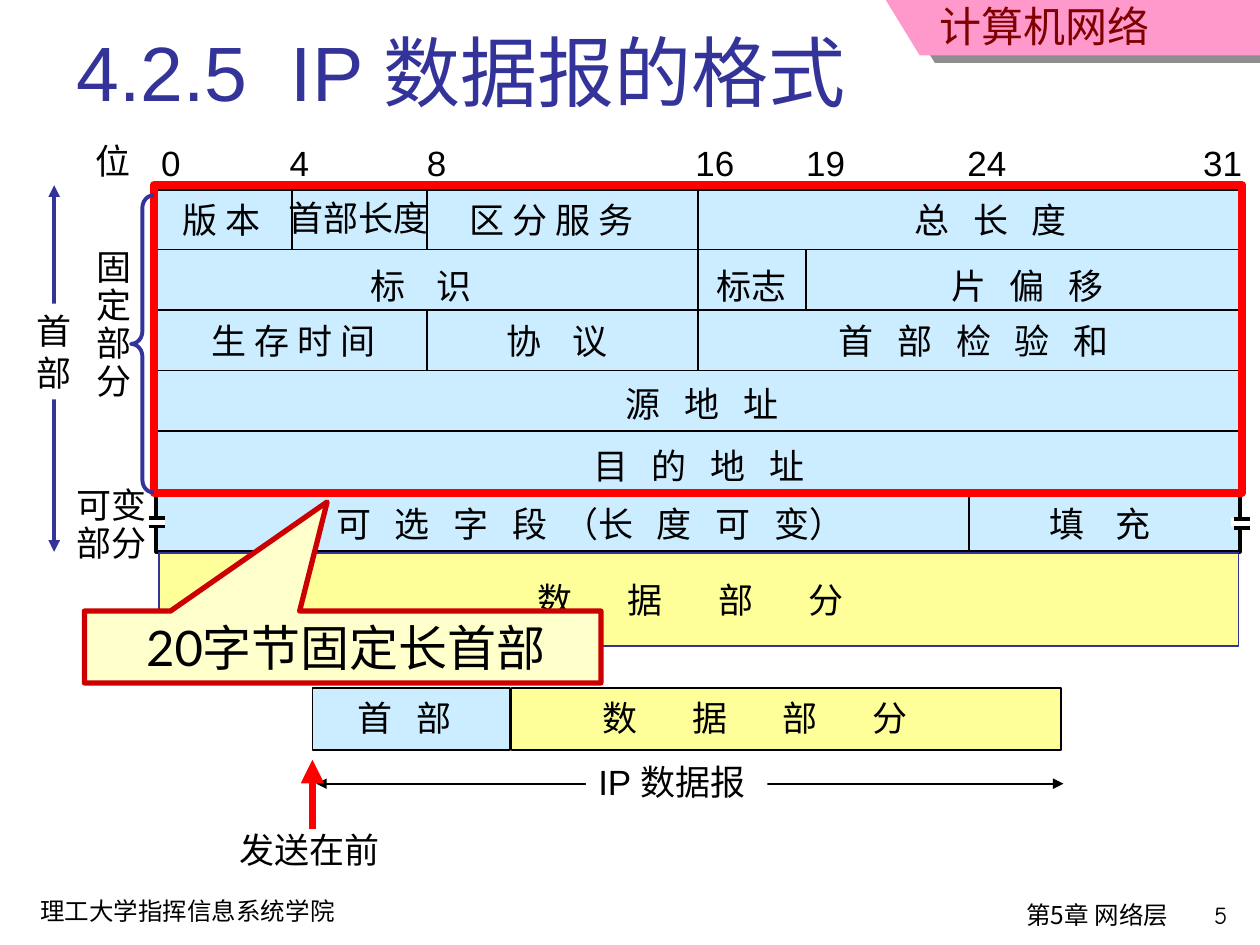
from lxml.etree import SubElement as Sub
from pptx import Presentation as Deck
from pptx.dml.color import RGBColor as Rgb
from pptx.enum.shapes import MSO_CONNECTOR as Link, MSO_SHAPE as Kind
from pptx.enum.text import MSO_ANCHOR as Anchor, MSO_AUTO_SIZE as Fit, PP_ALIGN as Align
from pptx.oxml.ns import qn
from pptx.util import Inches as In, Pt

INK = {"black": "000000", "white": "FFFFFF", "blue": "333399", "sky": "CCECFF",
       "lemon": "FFFF99", "cream": "FFFFCC", "red": "FF0000", "brick": "CC0000",
       "pink": "FF99CC", "maroon": "800000", "gray": "8E8E8E"}
CJK = "Noto Sans CJK SC"
LEFT, TOP, ROW, BIT = 1.24, 1.5, 0.48, 8.6 / 32
EDGE = LEFT + 32 * BIT
MID, WIDE, VAST = 4.5, 6.75, 13.5
SLACK = 0.15

deck = Deck()
deck.slide_width, deck.slide_height = In(10), In(7.5)
slide = deck.slides.add_slide(deck.slide_layouts[6])
pool = slide.shapes


def box(x, y, w, h, fill, line=None, width=1, kind=Kind.RECTANGLE):
    part = pool.add_shape(kind, In(x), In(y), In(w), In(h))
    part.shadow.inherit = False
    if fill:
        part.fill.solid()
        part.fill.fore_color.rgb = Rgb.from_string(INK[fill])
    else:
        part.fill.background()
    if line:
        part.line.color.rgb = Rgb.from_string(INK[line])
        part.line.width = Pt(width)
    else:
        part.line.fill.background()
    return part


def say(part, rows, size=20, font="Arial", ink="black", wrap=False,
        fit=Fit.SHAPE_TO_FIT_TEXT, align=Align.LEFT, lead=1.0, anchor=Anchor.TOP):
    frame = part.text_frame
    frame.word_wrap, frame.auto_size, frame.vertical_anchor = wrap, fit, anchor
    for i, runs in enumerate(rows):
        para = frame.paragraphs[0] if i == 0 else frame.add_paragraph()
        para.alignment, para.line_spacing = align, lead
        for text, gap in runs:
            run = para.add_run()
            run.text = text
            run.font.size, run.font.name = Pt(size), font
            run.font.color.rgb = Rgb.from_string(INK[ink])
            Sub(run.font._element, qn("a:ea")).set("typeface", CJK)
            if gap:
                run.font._element.set("spc", str(round(gap * 100)))


for tint, dx, dy in [("gray", 0.12, 0.06), ("pink", 0, 0)]:
    pen = pool.build_freeform(In(7.03 + dx), In(dy), scale=1.0)
    pen.add_line_segments([(In(7.3 + dx), In(0.44 + dy)), (In(10), In(0.44 + dy)),
                           (In(10), In(dy))], close=True)
    flag = pen.convert_to_shape()
    flag.shadow.inherit = False
    flag.fill.solid()
    flag.fill.fore_color.rgb = Rgb.from_string(INK[tint])
    flag.line.fill.background()

for x, y, w, h, fill, line, width in [
    (2.48, 5.46, 1.57, 0.49, "sky", "black", 1),
    (4.06, 5.46, 4.36, 0.49, "lemon", "black", 1),
    (LEFT, TOP, 32 * BIT, 6 * ROW, "sky", "black", 2),
    (1.26, 4.39, 8.57, 0.74, "lemon", "blue", 1),
    (1.17, 4.1, 0.14, 0.08, "white", None, 0),
    (9.77, 4.11, 0.14, 0.07, "white", None, 0),
]:
    box(x, y, w, h, fill, line, width)

lines = [(LEFT, TOP + r * ROW, EDGE, TOP + r * ROW, "black", 1, "") for r in range(1, 6)]
for bit, first, last in [(4, 0, 1), (8, 0, 1), (8, 2, 3), (16, 0, 3), (19.2, 1, 2), (24, 5, 6)]:
    x = LEFT + bit * BIT
    lines.append((x, TOP + first * ROW, x, TOP + last * ROW, "black", 1, ""))
for x, y in [(1.18, 4.11), (9.79, 4.12)]:
    for drop in (0, 0.07):
        lines.append((x, y + drop, x + 0.13, y + drop, "black", 2, ""))
lines += [(0.43, 1.47, 0.43, 4.38, "blue", 2.25, "headEnd tailEnd"),
          (2.51, 6.22, 8.44, 6.22, "black", 1, "headEnd tailEnd"),
          (2.48, 6.58, 2.48, 6.03, "red", 4.5, "tailEnd")]
for x, y, u, v, tint, width, ends in lines:
    wire = pool.add_connector(Link.STRAIGHT, In(x), In(y), In(u), In(v))
    wire.line.color.rgb = Rgb.from_string(INK[tint])
    wire.line.width = Pt(width)
    for end in ends.split():
        Sub(wire.line._get_or_add_ln(), qn("a:" + end)).set("type", "triangle")
    Sub(wire._element.spPr, qn("a:effectLst"))

for x, w, mark in [(1.18, 0.35, "0"), (2.2, 0.35, "4"), (3.29, 0.35, "8"), (5.42, 0.51, "16"),
                   (6.3, 0.51, "19"), (7.58, 0.51, "24"), (9.45, 0.51, "31")]:
    say(pool.add_textbox(In(x), In(1.07), In(w), In(0.43)), [[(mark, 0)]])

for x, y, w, text, gap in [
    (0.66, 1.06, 0.48, "位", 0), (1.35, 1.53, 0.82, "版 本", 0),
    (2.19, 1.51, 1.31, "首部长度", 0), (3.63, 1.53, 1.5, "区 分 服 务", 0),
    (7.16, 1.53, 1.41, "总 长 度", MID), (2.84, 2.05, 1, "标 识", WIDE),
    (5.59, 2.05, 0.76, "标志", 0), (7.45, 2.05, 1.41, "片 偏 移", MID),
    (1.58, 2.49, 1.5, "生 存 时 间", 0), (3.92, 2.49, 1, "协 议", WIDE),
    (6.56, 2.49, 2.34, "首 部 检 验 和", MID), (4.87, 2.99, 1.41, "源 地 址", MID),
    (4.61, 3.48, 1.87, "目 的 地 址", MID), (8.23, 3.94, 1, "填 充", WIDE),
    (4.17, 4.54, 3.18, "数 据 部 分", VAST), (4.68, 5.48, 3.39, "数 据 部 分", VAST),
    (2.74, 5.48, 0.94, "首 部", MID),
]:
    runs = [(text[:-1], gap), (text[-1], 0)] if gap else [(text, 0)]
    room = w + SLACK if gap else w
    say(pool.add_textbox(In(x), In(y), In(room), In(0.43)), [runs], wrap=gap > 0)

say(pool.add_textbox(In(2.57), In(3.94), In(4.23 + SLACK), In(0.43)),
    [[("可 选 字 ", MID), ("段 ", MID / 2), ("（", 0), ("长 度 可 ", MID), ("变）", 0)]],
    wrap=True)
say(pool.add_textbox(In(1.8), In(6.53), In(1.31), In(0.43)),
    [[("发送在前", 0)]], font="Times New Roman")
say(pool.add_textbox(In(0.51), In(3.83), In(0.76), In(0.7)),
    [[("可变", 0)], [("部分", 0)]], lead=0.9)
say(pool.add_textbox(In(0.67), In(1.94), In(0.48), In(1.3)),
    [[(sign, 0)] for sign in "固定部分"], lead=0.9)
say(box(0.19, 2.41, 0.48, 0.76, "white"), [[(sign, 0)] for sign in "首部"])
say(box(4.65, 5.99, 1.44, 0.43, "white"), [[("IP 数据报", 0)]])

box(1.22, 1.47, 8.64, 2.44, None, "red", 4.5)
brace = box(1.04, 1.55, 0.18, 2.36, None, "blue", 2.25, Kind.LEFT_BRACE)
brace.adjustments[0] = 0.55

say(pool.add_textbox(In(0.51), In(0), In(8.52), In(0.98)),
    [[("4.2.5", 0), (" ", 12.2), ("IP 数据报的格式", 0)]], 44, ink="blue",
    wrap=True, fit=Fit.NONE, anchor=Anchor.BOTTOM)
head = pool.add_textbox(In(5.82), In(0), In(3.4), In(0.45))
head.text_frame.margin_top = 0
say(head, [[("计算机网络", 0)]], 24, CJK, "maroon", True, align=Align.RIGHT)

note = box(0.67, 4.85, 4.1, 0.57, "cream", "brick", 3, Kind.RECTANGULAR_CALLOUT)
note.adjustments[0], note.adjustments[1] = -0.03, -2.02
note.text_frame.margin_left = In(0.49)
say(note, [[("20字节固定长首部", 0)]], 28, "Lato", wrap=True)

for x, y, w, h, text, font, align in [
    (0.22, 7.06, 3.11, 0.34, "理工大学指挥信息系统学院", "Comic Neue", Align.LEFT),
    (4.29, 7.09, 5.08, 0.41, "第5章 网络层", CJK, Align.RIGHT),
    (9.05, 7.09, 0.79, 0.38, "5", "Comic Neue", Align.RIGHT),
]:
    say(pool.add_textbox(In(x), In(y), In(w), In(h)), [[(text, 0)]], 14, font,
        wrap=True, fit=Fit.NONE, align=align)

deck.save("out.pptx")
